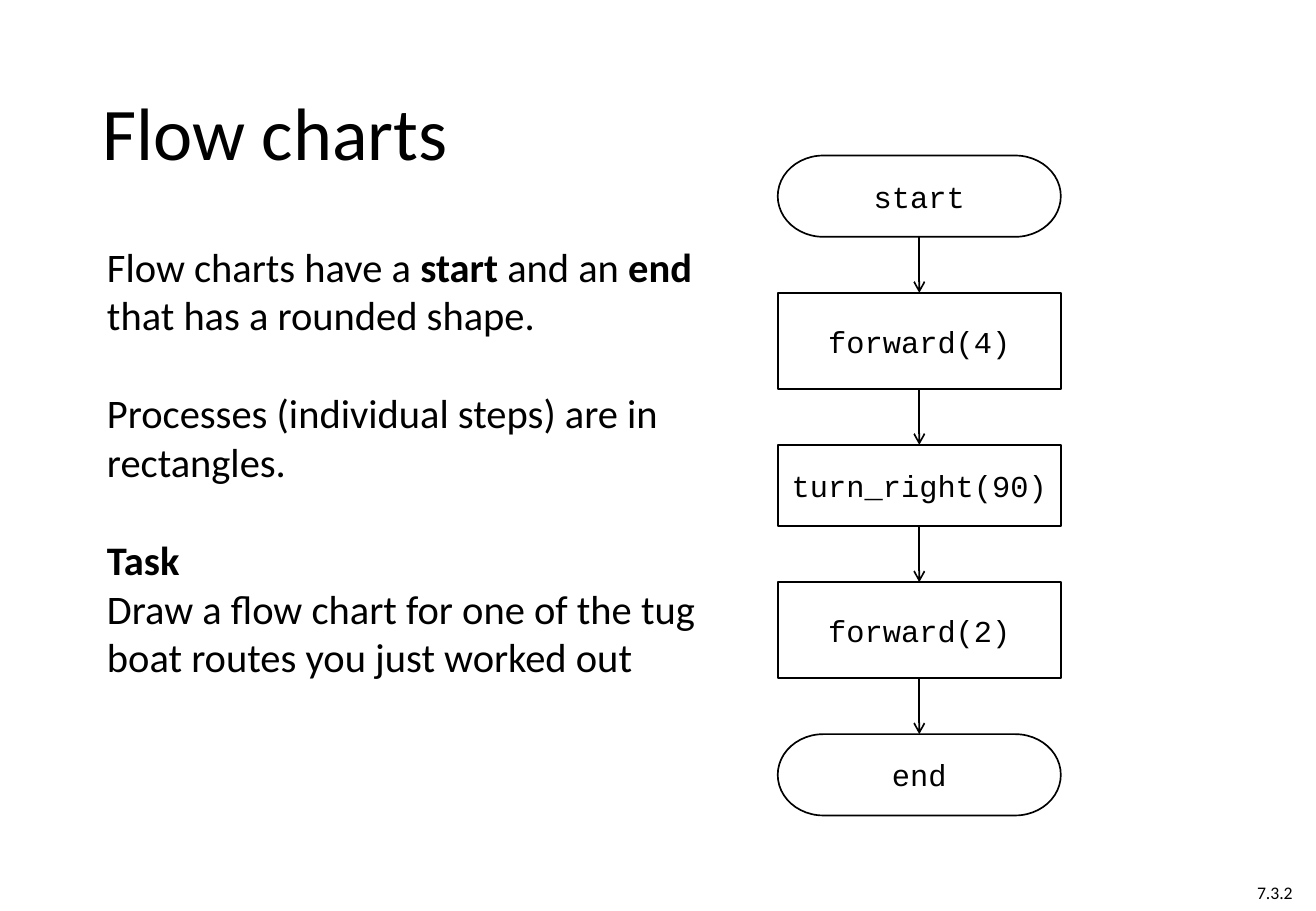
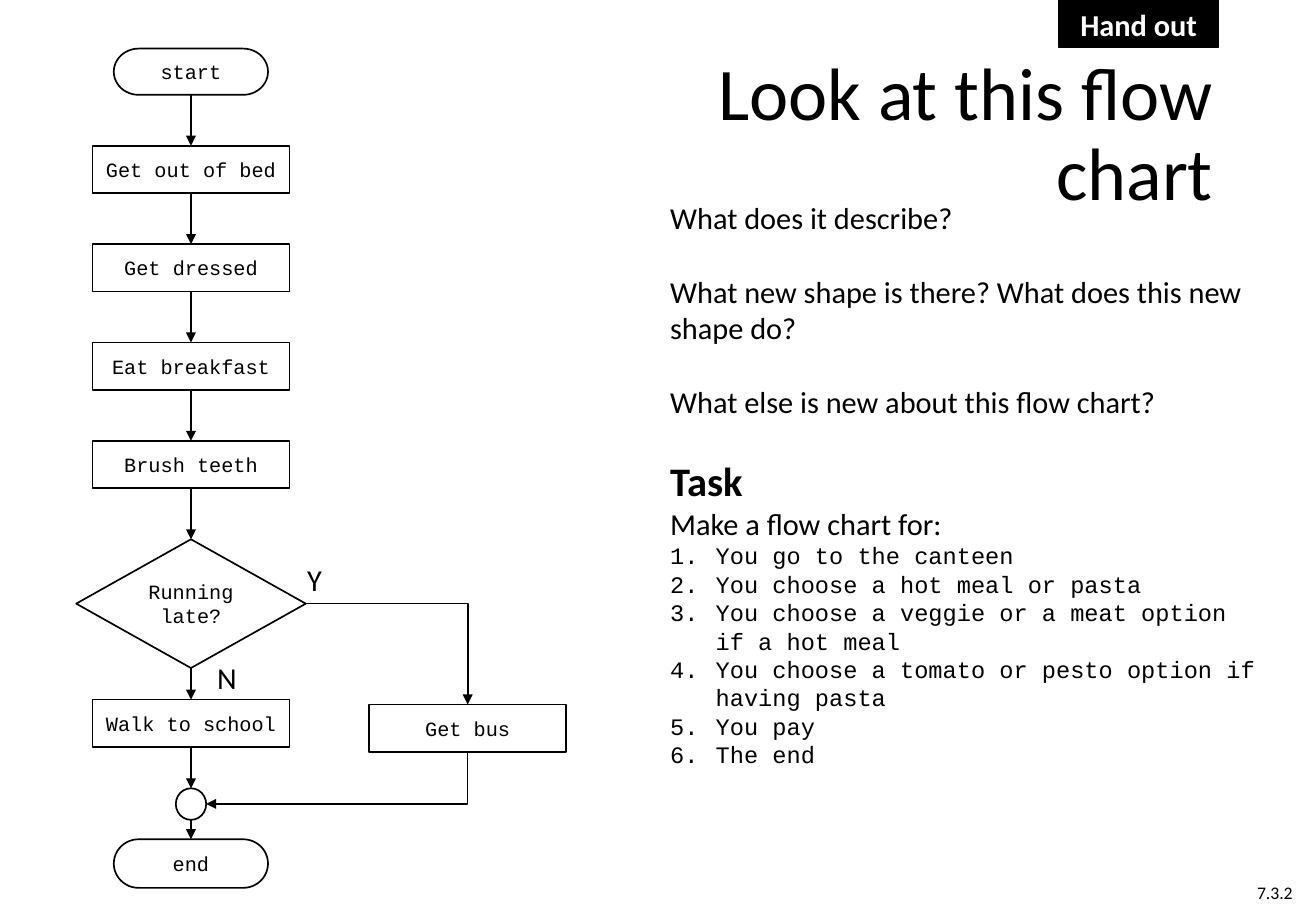
"""Build two flow chart lesson slides."""
from lxml import etree
from pptx import Presentation
from pptx.dml.color import RGBColor
from pptx.enum.shapes import MSO_CONNECTOR, MSO_SHAPE
from pptx.enum.text import MSO_ANCHOR, MSO_AUTO_SIZE, PP_ALIGN
from pptx.oxml.ns import qn
from pptx.util import Pt

TERMINATOR = MSO_SHAPE.FLOWCHART_TERMINATOR
PROCESS = MSO_SHAPE.FLOWCHART_PROCESS
DECISION = MSO_SHAPE.FLOWCHART_DECISION
JUNCTION = MSO_SHAPE.FLOWCHART_CONNECTOR
RECTANGLE = MSO_SHAPE.RECTANGLE
STRAIGHT, ELBOW = MSO_CONNECTOR.STRAIGHT, MSO_CONNECTOR.ELBOW
LEFT, CENTER, RIGHT = PP_ALIGN.LEFT, PP_ALIGN.CENTER, PP_ALIGN.RIGHT
TOP, MIDDLE = MSO_ANCHOR.TOP, MSO_ANCHOR.MIDDLE
COLORS = {"ink": "000000", "paper": "FFFFFF"}
SANS, MONO = "Calibri", "Courier New"


def add_run(paragraph, text, size, font=SANS, bold=False, color="ink"):
    run = paragraph.add_run()
    run.text = text
    run.font.size = Pt(size)
    run.font.name = font
    run.font.bold = bold
    run.font.color.rgb = RGBColor.from_string(COLORS[color])


def add_box(slide, kind, left, top, width, height, fill="paper"):
    shape = slide.shapes.add_shape(kind, Pt(left), Pt(top), Pt(width), Pt(height))
    shape.shadow.inherit = False
    shape.fill.solid()
    shape.fill.fore_color.rgb = RGBColor.from_string(COLORS[fill])
    shape.line.color.rgb = RGBColor.from_string(COLORS["ink"])
    shape.line.width = Pt(1)
    shape.text_frame.vertical_anchor = MIDDLE
    shape.text_frame.paragraphs[0].alignment = CENTER
    return shape


presentation = Presentation()
presentation.slide_width, presentation.slide_height = Pt(780), Pt(540)
layout = presentation.slide_layouts[1]
intro = presentation.slides.add_slide(layout)
handout = presentation.slides.add_slide(layout)

footer = intro.shapes.add_textbox(Pt(738), Pt(519), Pt(36), Pt(20))
footer.text_frame.word_wrap = False
add_run(footer.text_frame.paragraphs[0], "7.3.2", 10.5)
presentation.slide_master.shapes.element.append(footer.element)

intro_body = [
    ([("Flow charts have a ", False), ("start", True), (" and an ", False),
      ("end ", True), ("that has a rounded shape.", False)], 24, 0),
    ([("Processes (individual steps) are in rectangles.", False)], 24, 29.3),
    ([("Task", True)], 24, 29.3),
    ([("Draw a flow chart for one of the tug boat routes you just worked out", False)], 24, 0),
]
handout_body = [
    ([("What does it describe?", False)], 18, 0),
    ([("What new shape is there? What does this new shape do?", False)], 18, 22),
    ([("What else is new about this flow chart?", False)], 18, 22),
    ([("Task", True)], 24, 22),
    ([("Make a flow chart for:", False)], 18, 0),
]
canteen_steps = [
    "You go to the canteen",
    "You choose a hot meal or pasta",
    "You choose a veggie or a meat option if a hot meal",
    "You choose a tomato or pesto option if having pasta",
    "You pay",
    "The end",
]
pages = [
    (intro, "Flow charts", LEFT, (53.3, 28.8, 672.5, 104.4),
     intro_body, [], (56.2, 139.7, 372.2, 312.5)),
    (handout, "Look at this flow chart", RIGHT, (390, 28.8, 336.2, 104.4),
     handout_body, canteen_steps, (390, 114.5, 369.4, 390.2)),
]
for slide, heading, alignment, title_area, body, steps, body_area in pages:
    title, text_body = slide.shapes.title, slide.placeholders[1]
    for shape, area, anchor in ((title, title_area, MIDDLE), (text_body, body_area, TOP)):
        shape.left, shape.top, shape.width, shape.height = map(Pt, area)
        shape.text_frame.auto_size = MSO_AUTO_SIZE.NONE
        shape.text_frame.vertical_anchor = anchor
    paragraph = title.text_frame.paragraphs[0]
    paragraph.alignment = alignment
    paragraph.line_spacing = 0.9
    add_run(paragraph, heading, 44)

    entries = [(runs, size, gap, SANS) for runs, size, gap in body]
    entries += [([(step, False)], 14, 0, MONO) for step in steps]
    for index, (runs, size, gap, font) in enumerate(entries):
        frame = text_body.text_frame
        paragraph = frame.add_paragraph() if index else frame.paragraphs[0]
        paragraph.space_before = Pt(gap)
        properties = paragraph._p.get_or_add_pPr()
        indent = Pt(27) if font == MONO else 0
        properties.set("marL", str(indent))
        properties.set("indent", str(-indent))
        if font == MONO:
            etree.SubElement(properties, qn("a:buFont"), typeface=MONO)
            etree.SubElement(properties, qn("a:buAutoNum"), type="arabicPeriod")
        else:
            etree.SubElement(properties, qn("a:buNone"))
        for text, bold in runs:
            add_run(paragraph, text, size, font, bold)

arrows = []
route_center, route_width, route_gap = 544.9, 167.8, 33.2
route = [
    (TERMINATOR, "start", 48.2),
    (PROCESS, "forward(4)", 56.9),
    (PROCESS, "turn_right(90)", 48.2),
    (PROCESS, "forward(2)", 56.9),
    (TERMINATOR, "end", 48.2),
]
top = 92.2
for index, (kind, label, height) in enumerate(route):
    node = add_box(intro, kind, route_center - route_width / 2, top, route_width, height)
    add_run(node.text_frame.paragraphs[0], label, 18, MONO)
    if index:
        arrows.append((intro, STRAIGHT, route_center, top - route_gap,
                       route_center, top, "tailEnd", "arrow"))
    top += height + route_gap

morning_center, bus_center = 113.2, 277.2
first_step, step_pitch = 86.4, 58.3
morning = [(TERMINATOR, "start", 28.8, 91.4, 27.4)]
for index, label in enumerate(["Get out of bed", "Get dressed", "Eat breakfast", "Brush teeth"]):
    morning.append((PROCESS, label, first_step + index * step_pitch, 116.6, 28.1))
morning += [
    (DECISION, "Running late?", 319.7, 136.1, 76.3),
    (PROCESS, "Walk to school", 414.7, 116.6, 28.1),
    (JUNCTION, "", 467.3, 18, 18.7),
    (TERMINATOR, "end", 497.5, 91.4, 28.8),
]
previous_bottom = None
for kind, label, top, width, height in morning:
    node = add_box(handout, kind, morning_center - width / 2, top, width, height)
    if label:
        add_run(node.text_frame.paragraphs[0], label, 12, MONO)
    if previous_bottom:
        arrows.append((handout, STRAIGHT, morning_center, previous_bottom,
                       morning_center, top, "tailEnd", "triangle"))
    previous_bottom = top + height
bus = add_box(handout, PROCESS, bus_center - 58.3, 417.6, 116.6, 28.1)
add_run(bus.text_frame.paragraphs[0], "Get bus", 12, MONO)
arrows += [
    (handout, ELBOW, 181.2, 357.8, bus_center, 417.6, "tailEnd", "triangle"),
    (handout, ELBOW, 122.2, 476.6, bus_center, 445.7, "headEnd", "triangle"),
]

for slide, kind, start_x, start_y, end_x, end_y, end_tag, arrowhead in arrows:
    connector = slide.shapes.add_connector(kind, Pt(start_x), Pt(start_y), Pt(end_x), Pt(end_y))
    connector.line.color.rgb = RGBColor.from_string(COLORS["ink"])
    connector.line.width = Pt(1)
    properties = connector.element.spPr
    if kind == ELBOW:
        properties.find(qn("a:prstGeom")).set("prst", "bentConnector2")
    etree.SubElement(properties.find(qn("a:ln")), qn("a:" + end_tag), type=arrowhead)
    etree.SubElement(properties, qn("a:effectLst"))

for answer, left, top in (("Y", 175, 329), ("N", 121.7, 387.4)):
    label = handout.shapes.add_textbox(Pt(left), Pt(top), Pt(25), Pt(29))
    label.text_frame.word_wrap = False
    add_run(label.text_frame.paragraphs[0], answer, 18)

badge = add_box(handout, RECTANGLE, 627.8, 0, 94.3, 28.1, "ink")
badge.text_frame.vertical_anchor = TOP
add_run(badge.text_frame.paragraphs[0], "Hand out", 18, bold=True, color="paper")

presentation.save("out.pptx")
